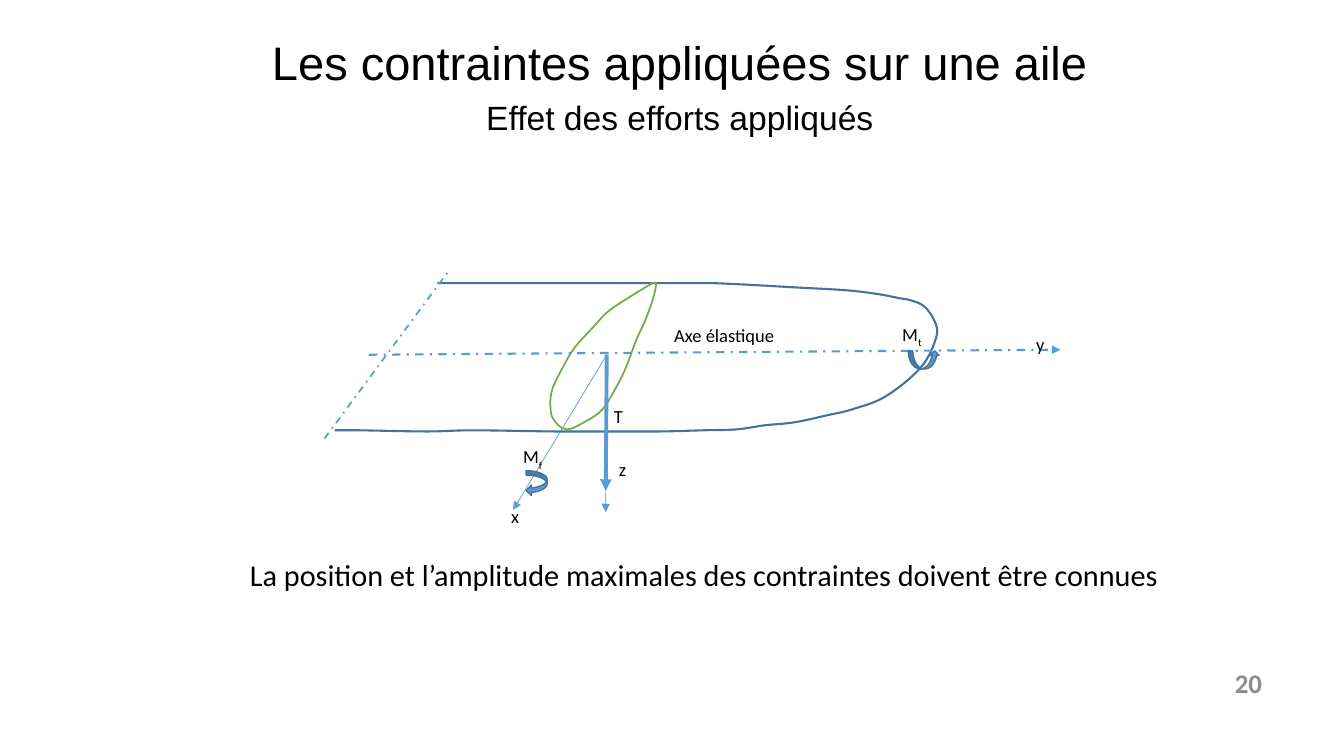
from dataclasses import dataclass

from lxml import etree
from pptx import Presentation
from pptx.dml.color import RGBColor
from pptx.enum import dml, shapes, text
from pptx.oxml import ns
from pptx.util import Pt


@dataclass(frozen=True)
class Theme:
    black: RGBColor = RGBColor(0, 0, 0)
    grey: RGBColor = RGBColor(0x8C, 0x8C, 0x8C)
    axis: RGBColor = RGBColor(0x5B, 0x9B, 0xD5)
    wing: RGBColor = RGBColor(0x43, 0x73, 0x9E)
    profile: RGBColor = RGBColor(0x70, 0xAD, 0x47)
    heading_font: str = "Arial"
    body_font: str = "Calibri"
    title: float = 33.6
    subtitle: float = 24
    message: float = 21.6
    number: float = 19.2
    label: float = 13.2


THEME = Theme()
MSO = shapes.MSO_SHAPE
ALIGN = text.PP_ALIGN
ANCHOR = text.MSO_ANCHOR

WING = [
    (312.5, 202.3), (398.2, 202.3), (468.7, 202.3), (495.4, 202.3),
    (510.5, 202.3), (541.4, 203.8), (565.9, 205.2), (604.8, 207.4),
    (627.8, 210.2), (643, 213.1), (650.9, 214.6), (660.2, 218.9),
    (667.4, 229), (668.9, 240.5), (658.1, 262.1), (632.9, 283),
    (609.1, 292.3), (591.1, 296.6), (567.4, 301.7), (546.5, 303.8),
    (526.3, 306.7), (501.8, 307.4), (471.6, 308.2), (434.9, 308.2),
    (396, 308.2), (337.7, 307.4), (305.3, 308.2), (257, 307.4), (239, 307.4),
]
PROFILE = [
    (468.7, 203), (467.5, 201.8), (462.2, 204.5), (436.3, 221),
    (424.1, 233.3), (410.4, 248.4), (401.8, 262.8), (394.6, 277.9),
    (393.1, 289.4), (395.3, 299.5), (404.6, 306.7), (418.3, 301),
    (429.8, 293), (437.8, 280.8), (446.4, 264.2), (454.3, 243.4),
    (460.8, 229), (466.6, 213.1), (468.7, 203),
]
ORIGIN = (433.4, 253.4)
LABELS = [
    ("x", "", 356.4, 356.4, 28),
    ("z", "", 433.4, 322.6, 28),
    ("T", "", 429.8, 285.1, 28),
    ("y", "", 731.5, 233.3, 32),
    ("M", "t", 635.8, 226.1, 43),
    ("M", "f", 365, 313.9, 43),
    ("Axe élastique", "", 473, 226.8, 94),
]


def add_run(p, words, size, font, color=THEME.black, bold=False):
    r = p.add_run()
    r.text = words
    r.font.size = Pt(size)
    r.font.name = font
    r.font.color.rgb = color
    r.font.bold = bold
    return r


def set_frame(tf, align, inset=(7.2, 3.6), anchor=ANCHOR.TOP, wrap=True):
    tf.word_wrap = wrap
    tf.auto_size = text.MSO_AUTO_SIZE.NONE
    tf.vertical_anchor = anchor
    tf.margin_left = tf.margin_right = Pt(inset[0])
    tf.margin_top = tf.margin_bottom = Pt(inset[1])
    p = tf.paragraphs[0]
    p.alignment = align
    return p


def add_text(parent, box, align=ALIGN.LEFT, **frame):
    sp = parent.shapes.add_textbox(*map(Pt, box))
    return set_frame(sp.text_frame, align, **frame)


def add_title(s, words, box):
    sp = s.shapes.title
    sp.left, sp.top, sp.width, sp.height = map(Pt, box)
    p = set_frame(sp.text_frame, ALIGN.CENTER)
    add_run(p, words, THEME.title, THEME.heading_font)


def add_label(parent, words, subscript, left, top, width):
    p = add_text(parent, (left, top, width, 25), inset=(8.64, 4.32))
    add_run(p, words, THEME.label, THEME.body_font)
    if subscript:
        r = add_run(p, subscript, THEME.label, THEME.body_font)
        r.font._element.set("baseline", "-30000")


def add_line(parent, start, end, weight, dashed=False, arrow=False):
    c = parent.shapes.add_connector(
        shapes.MSO_CONNECTOR.STRAIGHT, *map(Pt, start + end))
    c.line.color.rgb = THEME.axis
    c.line.width = Pt(weight)
    if dashed:
        c.line.dash_style = dml.MSO_LINE.DASH_DOT
    if arrow:
        head = etree.SubElement(c.line._get_or_add_ln(), ns.qn("a:tailEnd"))
        head.set("type", "triangle")
    etree.SubElement(c._element.spPr, ns.qn("a:effectLst"))


def add_curve(parent, points, color, weight):
    knots = [(Pt(x), Pt(y)) for x, y in points]
    builder = parent.shapes.build_freeform(*knots[0])
    builder.add_line_segments(knots[1:], close=False)
    sp = builder.convert_to_shape()
    sp.shadow.inherit = False
    sp.fill.background()
    sp.line.color.rgb = color
    sp.line.width = Pt(weight)
    smooth(sp)


def smooth(sp):
    nodes = list(sp._element.iter(ns.qn("a:pt")))
    knots = [(int(n.get("x")), int(n.get("y"))) for n in nodes]
    padded = [knots[0]] + knots + [knots[-1]]
    for i, node in enumerate(nodes[1:]):
        before, start, end, after = padded[i:i + 4]
        handles = [
            [a + (b - c) / 6 for a, b, c in zip(start, end, before)],
            [a - (b - c) / 6 for a, b, c in zip(end, after, start)],
        ]
        segment = node.getparent()
        curve = etree.Element(ns.qn("a:cubicBezTo"))
        for x, y in handles + [end]:
            etree.SubElement(curve, ns.qn("a:pt"), x=str(round(x)), y=str(round(y)))
        segment.getparent().replace(segment, curve)


def add_moment(parent, kind, box):
    sp = parent.shapes.add_shape(kind, *map(Pt, box))
    sp.shadow.inherit = False
    sp.fill.solid()
    sp.fill.fore_color.rgb = THEME.axis
    sp.line.color.rgb = THEME.wing
    sp.line.width = Pt(1)
    return sp


def add_wing_diagram(s):
    wing = s.shapes.add_group_shape()
    add_line(wing, ORIGIN, (366.5, 364.3), 0.5, arrow=True)
    add_line(wing, ORIGIN, (432.7, 365.8), 0.5, arrow=True)
    add_curve(wing, WING, THEME.wing, 1.5)
    add_line(wing, (231.8, 313.2), (320.4, 193.7), 1.25, dashed=True)
    add_curve(wing, PROFILE, THEME.profile, 1.25)
    add_line(wing, (263.5, 253.4), (757.4, 249.8), 1.5, dashed=True, arrow=True)
    add_line(wing, ORIGIN, (432.7, 350.6), 2.75, arrow=True)
    add_moment(wing, MSO.CURVED_UP_ARROW, (648.7, 250.6, 22.3, 13))
    bending = add_moment(wing, MSO.CURVED_LEFT_ARROW, (375.8, 336.2, 15.1, 18))
    bending.adjustments[0] = 0.21
    for label in LABELS:
        add_label(wing, *label)


def main():
    prs = Presentation()
    prs.slide_width, prs.slide_height = Pt(960), Pt(540)
    s = prs.slides.add_slide(prs.slide_layouts[5])
    add_title(s, "Les contraintes appliquées sur une aile", (144, 20.2, 683.3, 48.2))
    p = add_text(s, (231.8, 65.5, 507.6, 36), ALIGN.CENTER)
    add_run(p, "Effet des efforts appliqués", THEME.subtitle, THEME.heading_font)
    add_wing_diagram(s)
    p = add_text(s, (171.4, 393.8, 671, 33.1), wrap=False)
    add_run(p, "La position et l’amplitude maximales des contraintes doivent être connues",
            THEME.message, THEME.body_font)
    p = add_text(s, (714.2, 473, 194.4, 28.8), ALIGN.RIGHT, anchor=ANCHOR.MIDDLE)
    add_run(p, "20", THEME.number, THEME.body_font, THEME.grey, bold=True)
    prs.save("out.pptx")


if __name__ == "__main__":
    main()
